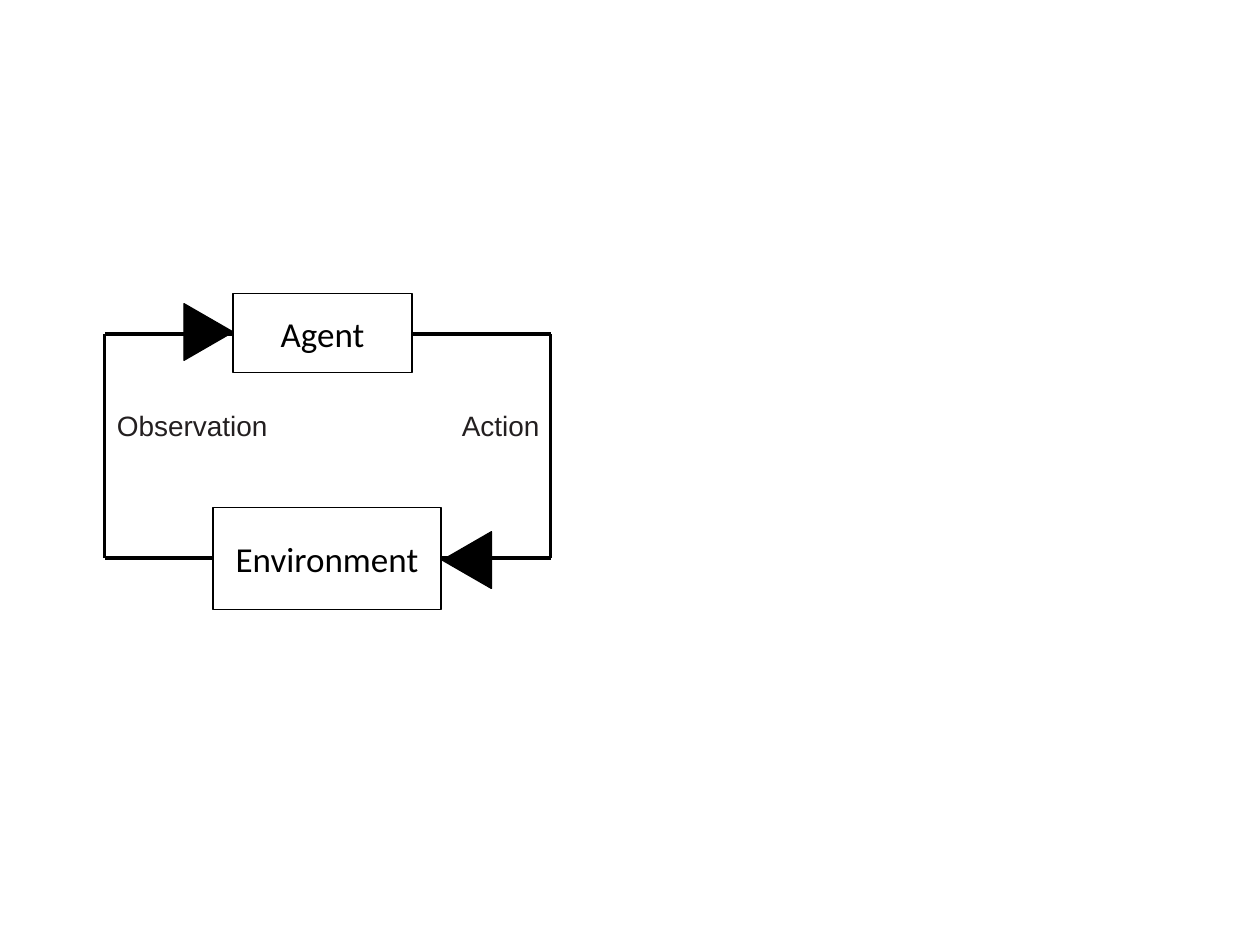
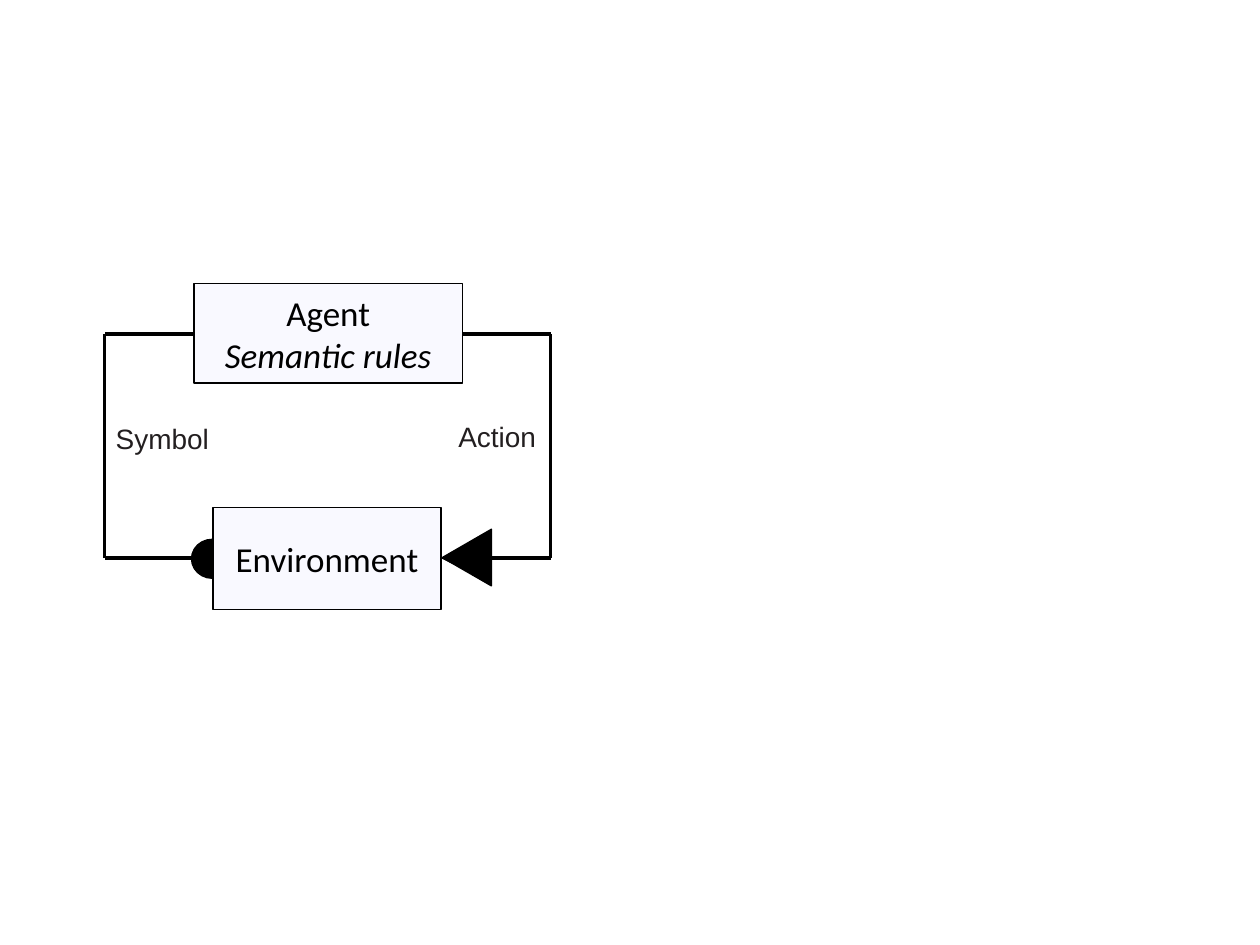
"""Build two slides showing agent and environment interaction loops."""
from lxml import etree
from pptx import Presentation
from pptx.dml.color import RGBColor
from pptx.enum.shapes import MSO_CONNECTOR, MSO_SHAPE
from pptx.enum.text import MSO_ANCHOR, MSO_AUTO_SIZE, PP_ALIGN
from pptx.oxml.ns import qn
from pptx.util import Inches, Pt

STRAIGHT = MSO_CONNECTOR.STRAIGHT
RECT, TRIANGLE, OVAL = MSO_SHAPE.RECTANGLE, MSO_SHAPE.ISOSCELES_TRIANGLE, MSO_SHAPE.OVAL
LEFT, CENTER, RIGHT = PP_ALIGN.LEFT, PP_ALIGN.CENTER, PP_ALIGN.RIGHT
MIDDLE, TOP = MSO_ANCHOR.MIDDLE, MSO_ANCHOR.TOP
FIT_SHAPE = MSO_AUTO_SIZE.SHAPE_TO_FIT_TEXT

COLORS = {"black": "000000", "white": "FFFFFF", "pale": "F9F9FF", "label": "231F20"}
LOOP_LEFT, LOOP_RIGHT, AGENT_Y, ENV_Y = 0.83, 4.37, 2.65, 4.43
ENV_BOX = (1.69, 4.03, 1.81, 0.81)
ARROW_SIZE = (0.45, 0.39)

SLIDES = [
    {
        "fill": "white",
        "agent": (["Agent"], (1.85, 2.33, 1.42, 0.63)),
        "labels": [
            ("Observation", (0.83, 3.19, 1.41, 0.37), LEFT),
            ("Action", (3.55, 3.19, 0.83, 0.37), RIGHT),
        ],
        "arrows": [(3.48, 4.25, 270), (1.43, 2.44, 90)],
        "dots": [],
        "ends": {},
    },
    {
        "fill": "pale",
        "agent": (["Agent", "Semantic rules"], (1.54, 2.25, 2.13, 0.79)),
        "labels": [
            ("Symbol", (0.82, 3.3, 0.95, 0.37), LEFT),
            ("Action", (3.54, 3.28, 0.83, 0.37), LEFT),
        ],
        "arrows": [(3.48, 4.23, 270)],
        "dots": [(1.52, 4.28, 0.33, 0.31)],
        "ends": {"env_left": ("tailEnd", "oval"), "env_right": ("headEnd", "triangle")},
    },
]


def rgb(name):
    return RGBColor.from_string(COLORS[name])


def write(sp, lines, size=20, font="Calibri", color="black", align=CENTER,
          anchor=MIDDLE, wrap=True, italic_from=1):
    tf = sp.text_frame
    tf.word_wrap = wrap
    tf.vertical_anchor = anchor
    for i, line in enumerate(lines):
        p = tf.add_paragraph() if i else tf.paragraphs[0]
        p.alignment = align
        r = p.add_run()
        r.text = line
        r.font.size = Pt(size)
        r.font.name = font
        r.font.italic = i >= italic_from
        r.font.color.rgb = rgb(color)


def add_shape(s, kind, box, fill="black", rotation=0):
    sp = s.shapes.add_shape(kind, *map(Inches, box))
    sp.shadow.inherit = False
    sp.rotation = rotation
    sp.fill.solid()
    sp.fill.fore_color.rgb = rgb(fill)
    sp.line.color.rgb = rgb("black")
    sp.line.width = Pt(0.75)
    return sp


def add_line(s, x1, y1, x2, y2, end=None):
    ln = s.shapes.add_connector(STRAIGHT, *map(Inches, (x1, y1, x2, y2)))
    ln.line.color.rgb = rgb("black")
    ln.line.width = Pt(2)
    sp_pr = ln._element.spPr
    if end:
        tag, kind = end
        etree.SubElement(sp_pr.find(qn("a:ln")), qn("a:" + tag), type=kind)
    etree.SubElement(sp_pr, qn("a:effectLst"))


def add_loop(s, agent_box, ends):
    agent_left, env_left = agent_box[0], ENV_BOX[0]
    agent_right, env_right = agent_left + agent_box[2], env_left + ENV_BOX[2]
    add_line(s, LOOP_LEFT, ENV_Y, env_left, ENV_Y, ends.get("env_left"))
    add_line(s, env_right, ENV_Y, LOOP_RIGHT, ENV_Y, ends.get("env_right"))
    add_line(s, agent_left, AGENT_Y, LOOP_LEFT, AGENT_Y)
    add_line(s, LOOP_RIGHT, AGENT_Y, agent_right, AGENT_Y)
    for x in (LOOP_LEFT, LOOP_RIGHT):
        add_line(s, x, ENV_Y, x, AGENT_Y)


def add_label(s, text, box, align):
    sp = s.shapes.add_textbox(*map(Inches, box))
    write(sp, [text], size=16, font="Arial", color="label", align=align,
          anchor=TOP, wrap=False)
    sp.text_frame.auto_size = FIT_SHAPE


def build_slide(prs, data):
    s = prs.slides.add_slide(prs.slide_layouts[6])
    agent_lines, agent_box = data["agent"]
    for box in data["dots"]:
        add_shape(s, OVAL, box)
    add_loop(s, agent_box, data["ends"])
    for lines, box in ((agent_lines, agent_box), (["Environment"], ENV_BOX)):
        write(add_shape(s, RECT, box, data["fill"]), lines)
    for label in data["labels"]:
        add_label(s, *label)
    for x, y, rotation in data["arrows"]:
        add_shape(s, TRIANGLE, (x, y, *ARROW_SIZE), rotation=rotation)


def main():
    prs = Presentation()
    prs.slide_width, prs.slide_height = Inches(10), Inches(7.5)
    for data in SLIDES:
        build_slide(prs, data)
    prs.save("out.pptx")


if __name__ == "__main__":
    main()
